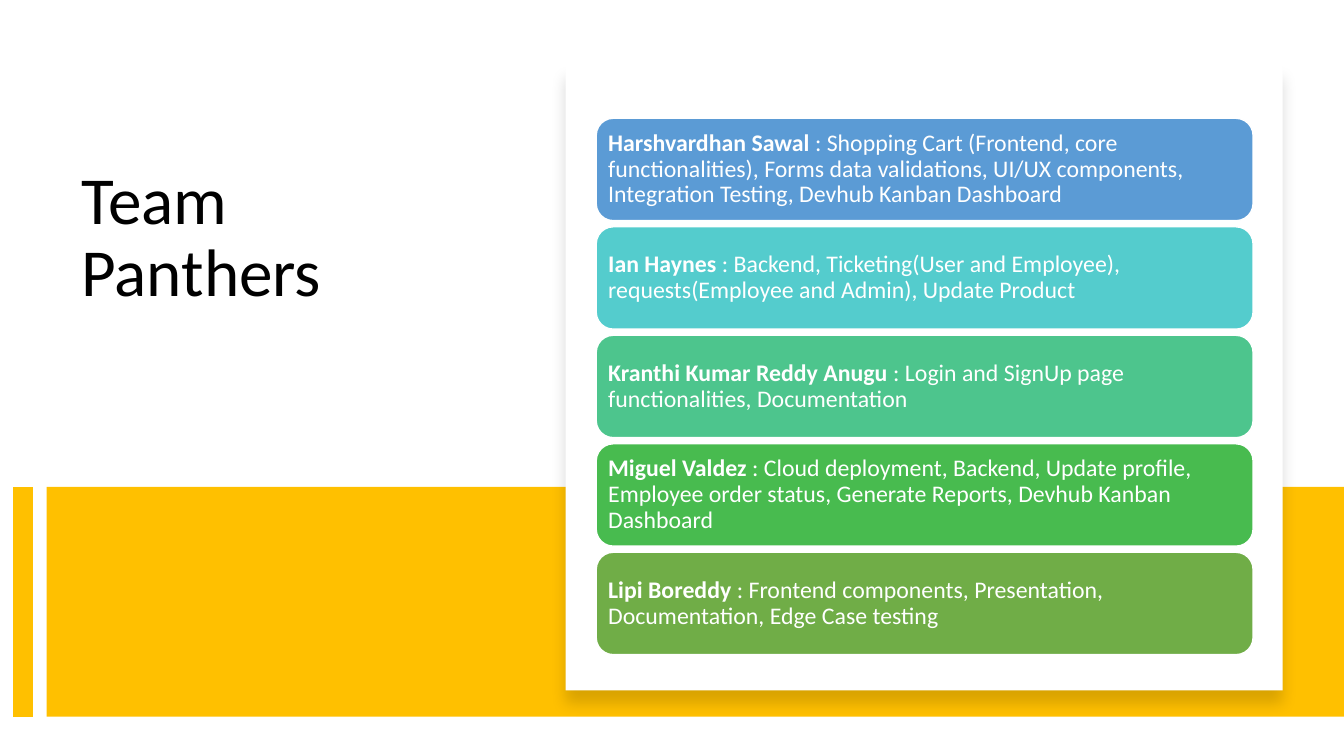
from lxml.etree import SubElement
from pptx import Presentation
from pptx.dml.color import RGBColor
from pptx.enum.shapes import MSO_CONNECTOR as Connector, MSO_SHAPE as Shape
from pptx.enum.text import MSO_ANCHOR as Anchor, PP_ALIGN as Align
from pptx.oxml.ns import qn
from pptx.util import Pt

TITLE = "Team Panthers"
MEMBERS = [
    ("Harshvardhan Sawal", "Shopping Cart (Frontend, core functionalities), Forms data validations, "
     "UI/UX components, Integration Testing, Devhub Kanban Dashboard", "blue"),
    ("Ian Haynes", "Backend, Ticketing(User and Employee), requests(Employee and Admin), "
     "Update Product", "turquoise"),
    ("Kranthi Kumar Reddy Anugu", "Login and SignUp page functionalities, Documentation", "mint"),
    ("Miguel Valdez", "Cloud deployment, Backend, Update profile, Employee order status, "
     "Generate Reports, Devhub Kanban Dashboard", "green"),
    ("Lipi Boreddy", "Frontend components, Presentation, Documentation, Edge Case testing", "olive"),
]
COLORS = {
    "black": "000000", "white": "FFFFFF", "amber": "FFC000", "blue": "5B9BD5",
    "turquoise": "54CCCD", "mint": "4DC58D", "green": "48BB4F", "olive": "70AD47",
}
FONT = "Calibri"
SLIDE_W, SLIDE_H = 960, 540
BAND_TOP, BAND_BOTTOM = 347.8, 511.9
BAND_LEFT, STRIPE_X = 33.3, 16.4
CARD = (404, 46.1, 512.2, 447.1)
ROW_LEFT, ROW_TOP, ROW_W, ROW_H, ROW_PITCH = 425.9, 84.5, 469.2, 73.1, 77.5


def rgb(color):
    return RGBColor.from_string(COLORS[color])


def add_block(slide, kind, box, fill, outline=None):
    block = slide.shapes.add_shape(kind, *map(Pt, box))
    block.shadow.inherit = False
    block.fill.solid()
    block.fill.fore_color.rgb = rgb(fill)
    if outline:
        block.line.color.rgb = rgb(outline)
        block.line.width = Pt(1)
    else:
        block.line.fill.background()
    return block


def write(shape, runs, size, color, anchor, insets):
    """Fill a shape with one paragraph of (text, bold) runs."""
    frame = shape.text_frame
    frame.word_wrap = True
    frame.vertical_anchor = anchor
    (frame.margin_left, frame.margin_top,
     frame.margin_right, frame.margin_bottom) = map(Pt, insets)
    paragraph = frame.paragraphs[0]
    paragraph.alignment = Align.LEFT
    paragraph.line_spacing = 0.9
    for text, bold in runs:
        run = paragraph.add_run()
        run.text = text
        run.font.name = FONT
        run.font.size = Pt(size)
        run.font.bold = bold
        run.font.color.rgb = rgb(color)


def add_soft_shadow(shape, blur, distance, opacity):
    """Cast a blurred shadow straight down; opacity is in percent."""
    effects = shape._element.spPr.find(qn("a:effectLst"))
    shadow = SubElement(effects, qn("a:outerShdw"), blurRad=str(Pt(blur)),
                        dist=str(Pt(distance)), dir="5400000", algn="t", rotWithShape="0")
    tint = SubElement(shadow, qn("a:srgbClr"), val=COLORS["black"])
    SubElement(tint, qn("a:alpha"), val=str(opacity * 1000))


def add_stripe(slide):
    stripe = slide.shapes.add_connector(
        Connector.STRAIGHT, Pt(STRIPE_X), Pt(BAND_TOP), Pt(STRIPE_X), Pt(BAND_BOTTOM))
    stripe.line.color.rgb = rgb("amber")
    stripe.line.width = Pt(14)
    SubElement(stripe._element.spPr, qn("a:effectLst"))


def main():
    deck = Presentation()
    deck.slide_width, deck.slide_height = Pt(SLIDE_W), Pt(SLIDE_H)
    slide = deck.slides.add_slide(deck.slide_layouts[6])

    title = slide.shapes.add_textbox(Pt(51.1), Pt(115.2), Pt(298.8), Pt(211.7))
    write(title, [(TITLE, False)], size=48, color="black",
          anchor=Anchor.TOP, insets=(7.2, 3.6, 20, 3.6))

    band = (BAND_LEFT, BAND_TOP, SLIDE_W - BAND_LEFT, BAND_BOTTOM - BAND_TOP)
    add_block(slide, Shape.RECTANGLE, band, "amber")
    add_stripe(slide)

    card = add_block(slide, Shape.RECTANGLE, CARD, "white")
    add_soft_shadow(card, blur=11, distance=10, opacity=15)

    for index, (member, duties, color) in enumerate(MEMBERS):
        box = (ROW_LEFT, ROW_TOP + index * ROW_PITCH, ROW_W, ROW_H)
        row = add_block(slide, Shape.ROUNDED_RECTANGLE, box, color, outline="white")
        write(row, [(f"{member} ", True), (f": {duties}", False)], size=17, color="white",
              anchor=Anchor.MIDDLE, insets=(5, 5, 5, 5))

    deck.save("out.pptx")


if __name__ == "__main__":
    main()
